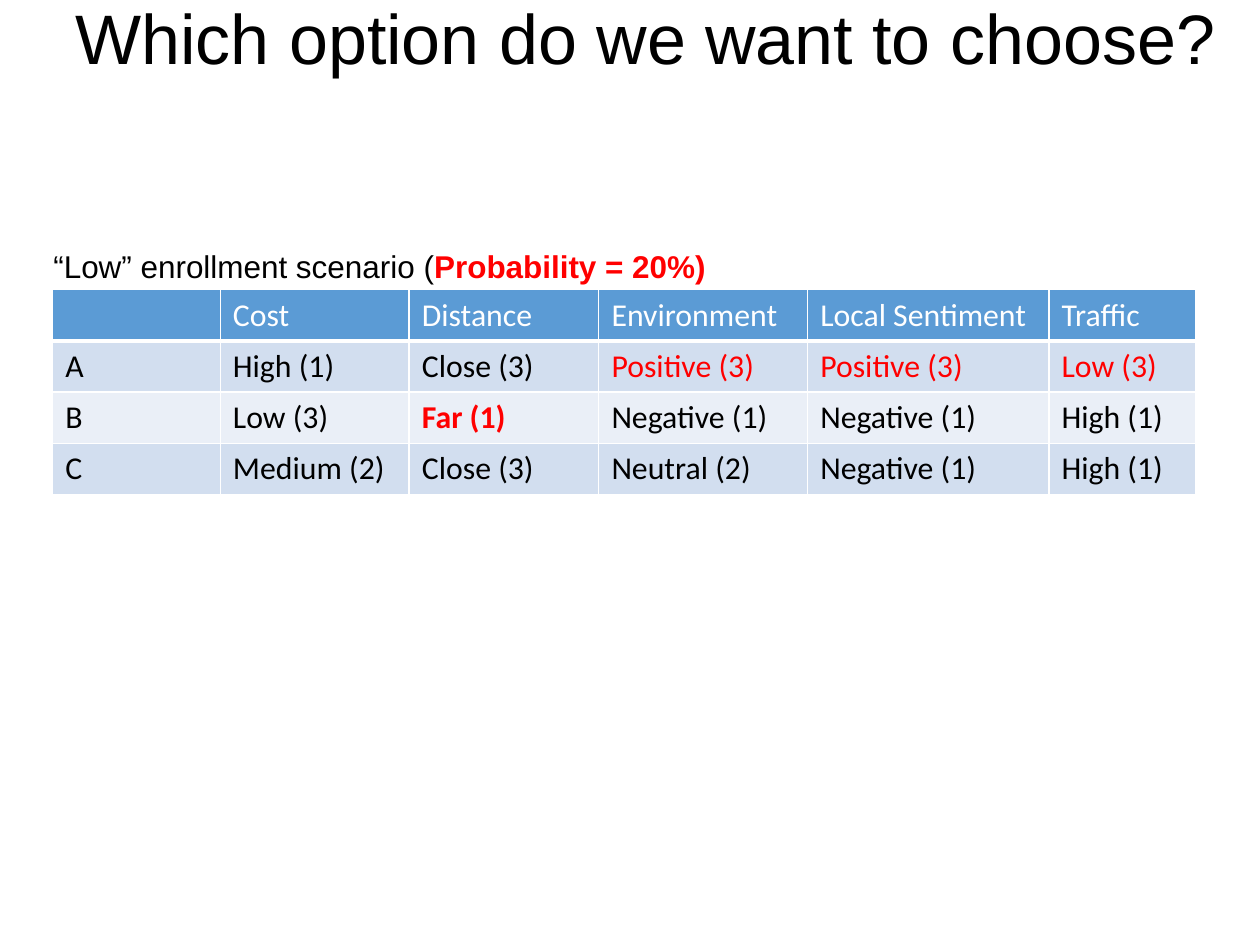
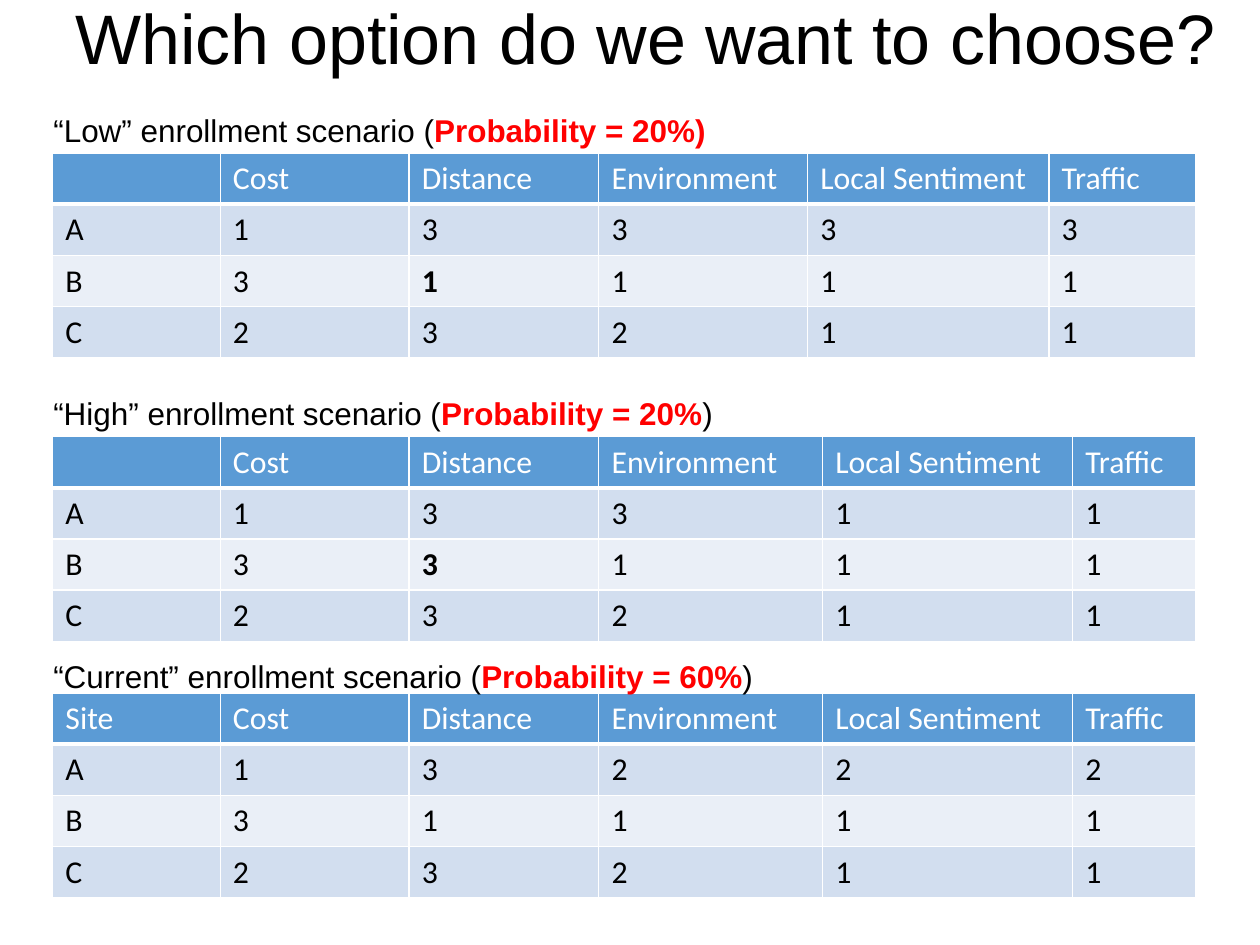
"""Build two slides that compare the site options under each enrollment scenario."""
import dataclasses

import lxml.etree
import pptx
import pptx.dml.color
import pptx.enum.text
import pptx.oxml.ns
import pptx.presentation
import pptx.slide
import pptx.table
import pptx.text.text
import pptx.util

Pt = pptx.util.Pt
RGBColor = pptx.dml.color.RGBColor

BLACK = RGBColor(0x00, 0x00, 0x00)
WHITE = RGBColor(0xFF, 0xFF, 0xFF)
RED = RGBColor(0xFF, 0x00, 0x00)
HEADER_BLUE = RGBColor(0x5B, 0x9B, 0xD5)
BANDS = (RGBColor(0xD2, 0xDE, 0xEF), RGBColor(0xEA, 0xEF, 0xF7))

SLIDE_WIDTH, SLIDE_HEIGHT = 793.7, 595.3
TITLE = "Which option do we want to choose?"
CRITERIA = ("Cost", "Distance", "Environment", "Local Sentiment", "Traffic")
SITES = ("A", "B", "C")
TABLE_LEFT, ROW_HEIGHT = 33.25, 32.25
CAPTION_LEFT, CAPTION_HEIGHT = 26.5, 31
WIDE_TRAFFIC = (105.5, 119, 119.5, 131.5, 152, 92.5)
NARROW_TRAFFIC = (105.5, 119, 119.5, 141, 157.5, 77.5)


@dataclasses.dataclass(frozen=True)
class Rating:
    """One table entry and its emphasis."""

    text: str
    color: RGBColor = BLACK
    bold: bool = False


@dataclasses.dataclass(frozen=True)
class Scenario:
    """A captioned table of ratings, one row per site."""

    name: str
    probability: str
    closing: str
    caption_top: float
    caption_width: float
    table_top: float
    columns: tuple[float, ...]
    ratings: tuple[tuple[Rating, ...], ...]
    corner: str = ""


def plain(*texts: str) -> tuple[Rating, ...]:
    """Return ratings without emphasis."""
    return tuple(Rating(text) for text in texts)


RATED_SLIDE = (
    Scenario(
        "Low", "Probability = 20%)", "", 152, 516, 182.5, WIDE_TRAFFIC,
        (
            (*plain("High (1)", "Close (3)"), Rating("Positive (3)", RED),
             Rating("Positive (3)", RED), Rating("Low (3)", RED)),
            (Rating("Low (3)"), Rating("Far (1)", RED, True),
             *plain("Negative (1)", "Negative (1)", "High (1)")),
            plain("Medium (2)", "Close (3)", "Neutral (2)", "Negative (1)", "High (1)"),
        ),
    ),
)
SCORED_SLIDE = (
    Scenario(
        "Low", "Probability = 20%)", "", 66.25, 516, 96.5, WIDE_TRAFFIC,
        (
            plain(*"13333"),
            (Rating("3"), Rating("1", bold=True), *plain(*"111")),
            plain(*"23211"),
        ),
    ),
    Scenario(
        "High", "Probability = 20%", ")", 244.75, 582, 275, NARROW_TRAFFIC,
        (
            plain(*"13311"),
            (Rating("3"), Rating("3", bold=True), *plain(*"111")),
            plain(*"23211"),
        ),
    ),
    Scenario(
        "Current", "Probability = 60%", ")", 410.5, 549, 436.5, NARROW_TRAFFIC,
        (plain(*"13222"), plain(*"31111"), plain(*"23211")),
        corner="Site",
    ),
)


def set_font(
    font: pptx.text.text.Font, name: str, size: float, color: RGBColor, bold: bool = False
) -> None:
    """Set typeface, size, colour and weight."""
    font.name = name
    font.size = Pt(size)
    font.color.rgb = color
    font.bold = bold


def add_title(slide: pptx.slide.Slide) -> None:
    """Add the shared slide title."""
    title = slide.shapes.add_textbox(Pt(-66), Pt(-26.5), Pt(946), Pt(99.5)).text_frame
    title.word_wrap = True
    title.vertical_anchor = pptx.enum.text.MSO_ANCHOR.MIDDLE
    title.margin_left = title.margin_right = title.margin_top = title.margin_bottom = 0
    heading = title.paragraphs[0]
    heading.text = TITLE
    heading.alignment = pptx.enum.text.PP_ALIGN.CENTER
    set_font(heading.font, "Arial", 44.1, BLACK)


def add_caption(slide: pptx.slide.Slide, scenario: Scenario) -> None:
    """Add the scenario name with its probability in red."""
    caption = slide.shapes.add_textbox(
        Pt(CAPTION_LEFT), Pt(scenario.caption_top), Pt(scenario.caption_width), Pt(CAPTION_HEIGHT)
    ).text_frame
    caption.word_wrap = True
    caption.auto_size = pptx.enum.text.MSO_AUTO_SIZE.SHAPE_TO_FIT_TEXT
    parts = (
        Rating(f"“{scenario.name}” enrollment scenario ("),
        Rating(scenario.probability, RED, True),
        Rating(scenario.closing),
    )
    for part in parts:
        if part.text:
            run = caption.paragraphs[0].add_run()
            run.text = part.text
            set_font(run.font, "Arial", 19.8, part.color, part.bold)


def set_borders(cell: pptx.table._Cell, bottom: float) -> None:
    """Give a cell white borders, 1 pt except at the bottom."""
    properties = cell._tc.get_or_add_tcPr()
    qn = pptx.oxml.ns.qn
    for side, width in (("L", 1), ("R", 1), ("T", 1), ("B", bottom)):
        line = lxml.etree.SubElement(properties, qn(f"a:ln{side}"), w=str(Pt(width)))
        fill = lxml.etree.SubElement(line, qn("a:solidFill"))
        lxml.etree.SubElement(fill, qn("a:srgbClr"), val=str(WHITE))


def fill_cell(cell: pptx.table._Cell, rating: Rating, fill: RGBColor, bottom: float) -> None:
    """Write and format one table cell."""
    set_borders(cell, bottom)
    cell.fill.solid()
    cell.fill.fore_color.rgb = fill
    cell.margin_left = cell.margin_right = Pt(8)
    cell.margin_top = cell.margin_bottom = Pt(4)
    entry = cell.text_frame.paragraphs[0]
    if rating.text:
        entry.text = rating.text
    set_font(entry.font, "Calibri", 20, rating.color, rating.bold)


def add_ratings(slide: pptx.slide.Slide, scenario: Scenario) -> None:
    """Add the table of ratings for one scenario."""
    header = tuple(Rating(text, WHITE) for text in (scenario.corner, *CRITERIA))
    rows = [header] + [
        (Rating(site), *ratings) for site, ratings in zip(SITES, scenario.ratings)
    ]
    table = slide.shapes.add_table(
        len(rows), len(header), Pt(TABLE_LEFT), Pt(scenario.table_top),
        Pt(sum(scenario.columns)), Pt(ROW_HEIGHT * len(rows)),
    ).table
    for column, width in zip(table.columns, scenario.columns):
        column.width = Pt(width)
    for index, row in enumerate(rows):
        table.rows[index].height = Pt(ROW_HEIGHT)
        fill = BANDS[(index - 1) % 2] if index else HEADER_BLUE
        for position, rating in enumerate(row):
            fill_cell(table.cell(index, position), rating, fill, 1 if index else 3)


def add_scenarios(
    deck: pptx.presentation.Presentation, scenarios: tuple[Scenario, ...]
) -> None:
    """Add one titled slide of scenarios."""
    slide = deck.slides.add_slide(deck.slide_layouts[6])
    add_title(slide)
    for scenario in scenarios:
        add_ratings(slide, scenario)
        add_caption(slide, scenario)


def main() -> None:
    """Build and save the deck."""
    deck = pptx.Presentation()
    deck.slide_width, deck.slide_height = Pt(SLIDE_WIDTH), Pt(SLIDE_HEIGHT)
    for scenarios in (RATED_SLIDE, SCORED_SLIDE):
        add_scenarios(deck, scenarios)
    deck.save("out.pptx")


if __name__ == "__main__":
    main()
